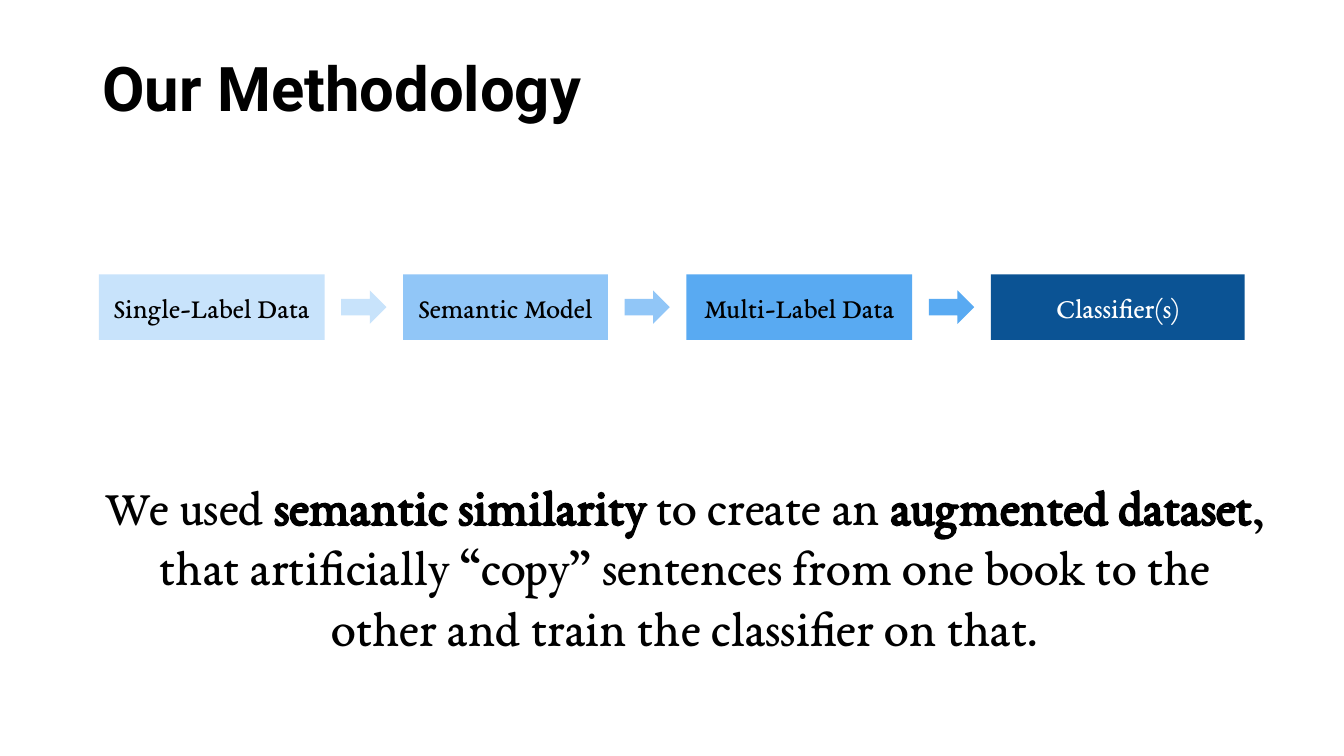
from dataclasses import dataclass

from pptx import Presentation
from pptx import util as u
from pptx.dml.color import RGBColor
from pptx.enum import shapes, text

BLACK = RGBColor(0x00, 0x00, 0x00)
WHITE = RGBColor(0xFF, 0xFF, 0xFF)
PALE_BLUE = RGBColor(0xC8, 0xE3, 0xFB)
LIGHT_BLUE = RGBColor(0x91, 0xC6, 0xF7)
MID_BLUE = RGBColor(0x59, 0xAA, 0xF2)
DARK_BLUE = RGBColor(0x0B, 0x53, 0x94)

HEAD_FONT = "Roboto"
BODY_FONT = "EB Garamond"

# Pipeline measures in centimetres
FLOW_LEFT, FLOW_MIDDLE = 2.49, 7.74
BOX_HEIGHT = 1.65
ARROW_WIDTH, ARROW_HEIGHT = 1.14, 0.84
GAP = 0.42


@dataclass
class Step:
    label: str
    width: float
    fill: RGBColor
    color: RGBColor = BLACK


STEPS = [
    Step("Single-Label Data", 5.69, PALE_BLUE),
    Step("Semantic Model", 5.16, LIGHT_BLUE),
    Step("Multi-Label Data", 5.69, MID_BLUE),
    Step("Classifier(s)", 6.4, DARK_BLUE, WHITE),
]

SUMMARY = [
    ("We used ", False),
    ("semantic similarity ", True),
    ("to create an ", False),
    ("augmented dataset", True),
    (", that artificially “copy” sentences from one book to the other"
     " and train the classifier on that.", False),
]


def add_run(p, words: str, size: float, font: str, color: RGBColor,
            bold: bool = False) -> None:
    r = p.add_run()
    r.text = words
    r.font.size = u.Pt(size)
    r.font.name = font
    r.font.bold = bold
    r.font.color.rgb = color


def add_text_box(s, left: float, top: float, width: float, height: float):
    tf = s.shapes.add_textbox(
        u.Cm(left), u.Cm(top), u.Cm(width), u.Cm(height)).text_frame
    tf.word_wrap = True
    return tf


def add_block(s, kind, left: float, width: float, height: float,
              fill: RGBColor):
    """Add a plain shape centred on the pipeline's middle line."""
    sp = s.shapes.add_shape(kind, u.Cm(left), u.Cm(FLOW_MIDDLE - height / 2),
                            u.Cm(width), u.Cm(height))
    sp.shadow.inherit = False
    sp.fill.solid()
    sp.fill.fore_color.rgb = fill
    sp.line.fill.background()
    return sp


def add_pipeline(s, steps: list[Step]) -> None:
    left = FLOW_LEFT
    for step in steps:
        sp = add_block(s, shapes.MSO_SHAPE.RECTANGLE, left, step.width,
                       BOX_HEIGHT, step.fill)
        tf = sp.text_frame
        tf.vertical_anchor = text.MSO_ANCHOR.MIDDLE
        p = tf.paragraphs[0]
        p.alignment = text.PP_ALIGN.CENTER
        add_run(p, step.label, 20, BODY_FONT, step.color)
        left += step.width + GAP
        if step is not steps[-1]:
            add_block(s, shapes.MSO_SHAPE.RIGHT_ARROW, left, ARROW_WIDTH,
                      ARROW_HEIGHT, step.fill)
            left += ARROW_WIDTH + GAP


def main() -> None:
    prs = Presentation()
    prs.slide_width, prs.slide_height = u.Cm(33.87), u.Cm(19.05)
    s = prs.slides.add_slide(prs.slide_layouts[6])

    # Title
    tf = add_text_box(s, 2.33, 1.01, 29.21, 2.62)
    tf.vertical_anchor = text.MSO_ANCHOR.MIDDLE
    p = tf.paragraphs[0]
    p.line_spacing = 0.9
    add_run(p, "Our Methodology", 44, HEAD_FONT, BLACK, bold=True)

    # Pipeline from data to classifier
    add_pipeline(s, STEPS)

    # Summary sentence
    tf = add_text_box(s, 2.33, 11.84, 29.87, 4.88)
    tf.auto_size = text.MSO_AUTO_SIZE.SHAPE_TO_FIT_TEXT
    p = tf.paragraphs[0]
    p.alignment = text.PP_ALIGN.CENTER
    for words, bold in SUMMARY:
        add_run(p, words, 36, BODY_FONT, BLACK, bold)

    prs.save("out.pptx")


if __name__ == "__main__":
    main()
